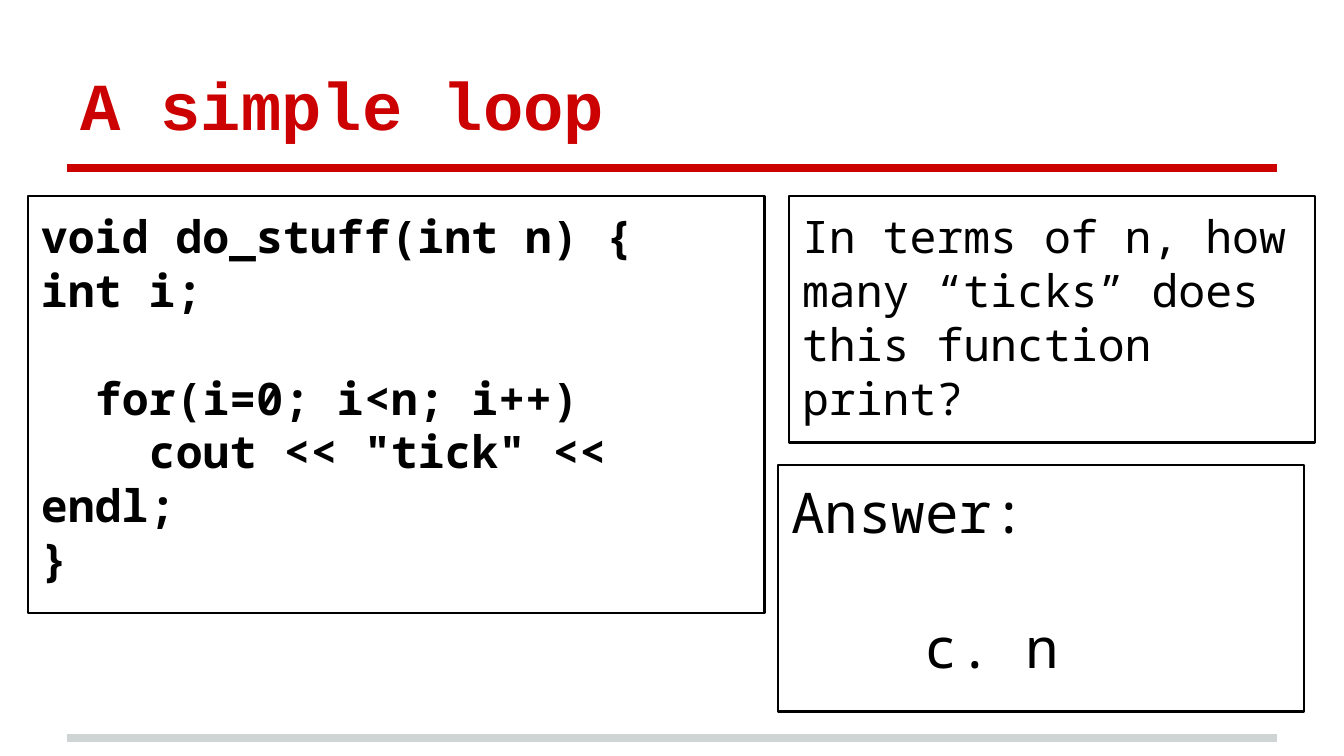
from pptx import Presentation
from pptx.dml.color import RGBColor
from pptx.enum.shapes import MSO_CONNECTOR, MSO_SHAPE
from pptx.enum.text import MSO_ANCHOR, MSO_AUTO_SIZE, PP_ALIGN
from pptx.util import Emu, Pt
from lxml import etree

COLORS = {"red": "CC0202", "grey": "CFD4D4", "black": "000000"}
A = "{http://schemas.openxmlformats.org/drawingml/2006/main}"
LINE_HEIGHT = 1.2


def px(n):
    return Emu(round(n * 914400 / 134.4))


def add_text(p, text, font, size, color, bold):
    p.alignment = PP_ALIGN.LEFT
    r = p.add_run()
    r.text = text
    r.font.name = font
    r.font.size = Pt(size)
    r.font.bold = bold
    r.font.color.rgb = RGBColor.from_string(COLORS[color])


prs = Presentation()
prs.slide_width, prs.slide_height = px(1344), px(756)
s = prs.slides.add_slide(prs.slide_layouts[5])

# Rules under the title and at the foot
for y, color in ((738, "grey"), (168, "red")):
    rule = s.shapes.add_connector(MSO_CONNECTOR.STRAIGHT, px(67), px(y), px(1277), px(y))
    rule.line.width = Pt(4)
    rule.line.color.rgb = RGBColor.from_string(COLORS[color])
    etree.SubElement(rule._element.spPr, A + "effectLst")

# Title
title = s.shapes.title
title.left, title.top, title.width, title.height = px(67), px(31), px(1210), px(126)
tf = title.text_frame
tf.auto_size = MSO_AUTO_SIZE.NONE
tf.vertical_anchor = MSO_ANCHOR.BOTTOM
tf.margin_left = tf.margin_right = tf.margin_top = tf.margin_bottom = px(13)
add_text(tf.paragraphs[0], "A simple loop", "Courier New", 36, "red", True)

# Boxes: place, size, bold, lines as (text, left margin, first indent, blank lines before)
boxes = [
    ((789, 196, 526, 247), 24, False, [
        ("In terms of n, how many “ticks” does this function print?", 0, 0, 0),
    ]),
    ((778, 465, 526, 247), 30, False, [
        ("Answer:", 0, 0, 0),
        ("c. n", 67, 67, 1),
    ]),
    ((28, 196, 737, 417), 24, True, [
        ("void do_stuff(int n) {", 0, 0, 0),
        ("int i;", 0, 0, 0),
        ("for(i=0; i<n; i++)", 0, 54, 1),
        ('cout << "tick" << endl;', 0, 108, 0),
        ("}", 0, 0, 0),
    ]),
]
for place, size, bold, lines in boxes:
    sp = s.shapes.add_shape(MSO_SHAPE.RECTANGLE, *map(px, place))
    sp.shadow.inherit = False
    sp.fill.background()
    sp.line.width = Pt(1.5)
    sp.line.color.rgb = RGBColor.from_string(COLORS["black"])
    tf = sp.text_frame
    tf.word_wrap = True
    tf.vertical_anchor = MSO_ANCHOR.TOP
    tf.margin_left = tf.margin_right = tf.margin_top = tf.margin_bottom = px(13)
    for i, (text, margin, indent, blanks) in enumerate(lines):
        p = tf.add_paragraph() if i else tf.paragraphs[0]
        p.space_before = Pt(blanks * size * LINE_HEIGHT)
        pPr = p._p.get_or_add_pPr()
        pPr.set("marL", str(px(margin)))
        pPr.set("indent", str(px(indent)))
        add_text(p, text, "Noto Sans Mono", size, "black", bold)

prs.save("out.pptx")
